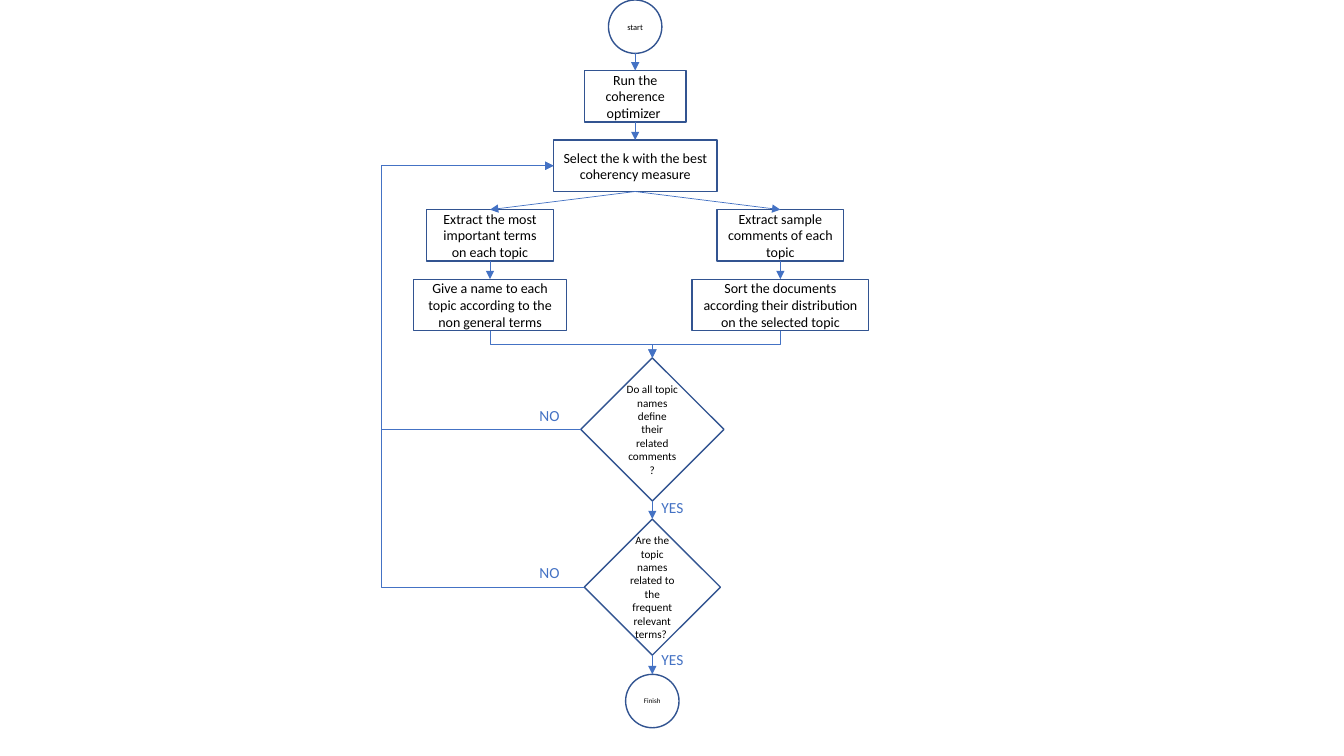
from lxml import etree
from pptx import Presentation
from pptx.dml.color import RGBColor
from pptx.enum.shapes import MSO_CONNECTOR as LINK, MSO_SHAPE as SHAPE
from pptx.enum.text import MSO_ANCHOR as ANCHOR, MSO_AUTO_SIZE as AUTO, PP_ALIGN as ALIGN
from pptx.oxml.ns import qn
from pptx.util import Inches, Pt

OUTLINE, ACCENT, BLACK = "325491", "4472C4", "000000"
TOP, LEFT, BOTTOM = 0, 1, 2

prs = Presentation()
prs.slide_width, prs.slide_height = Inches(13.33), Inches(7.5)
s = prs.slides.add_slide(prs.slide_layouts[6])


def rgb(code):
    return RGBColor.from_string(code)


def write(sp, text, size, color):
    tf = sp.text_frame
    tf.word_wrap = True
    p = tf.paragraphs[0]
    p.alignment = ALIGN.CENTER
    r = p.add_run()
    r.text = text
    for name, value in {"name": "Calibri", "size": Pt(size)}.items():
        setattr(r.font, name, value)
    r.font.color.rgb = rgb(color)


# Grid: process rows, and the centres of the columns
ROW_TOP, PITCH, BOX_H, DOT = 0.7, 0.69, 0.51, 0.53
rows = [ROW_TOP + PITCH * i for i in range(4)]
MAIN, TERMS, SAMPLES, CHECK = 6.3, 4.86, 7.74, 6.47
LANE = 3.78

# Steps: kind, centre x, top, width, height, text size, text
steps = {
    "start": (SHAPE.OVAL, MAIN, 0, DOT, DOT, 6, "start"),
    "run": (SHAPE.RECTANGLE, MAIN, rows[0], 1.01, BOX_H, 10, "Run the coherence optimizer "),
    "select": (SHAPE.RECTANGLE, MAIN, rows[1], 1.62, BOX_H, 10,
               "Select the k with the best coherency measure"),
    "terms": (SHAPE.RECTANGLE, TERMS, rows[2], 1.26, BOX_H, 10,
              "Extract the most important terms on each topic"),
    "samples": (SHAPE.RECTANGLE, SAMPLES, rows[2], 1.26, BOX_H, 10,
                "Extract sample comments of each topic"),
    "sort": (SHAPE.RECTANGLE, SAMPLES, rows[3], 1.75, BOX_H, 10,
             "Sort the documents according their distribution on the selected topic"),
    "name": (SHAPE.RECTANGLE, TERMS, rows[3], 1.52, BOX_H, 10,
             "Give a name to each topic according to the non general terms"),
    "comments": (SHAPE.DIAMOND, CHECK, 3.55, 1.42, 1.42, 8,
                 "Do all topic names define their related comments?"),
    "frequent": (SHAPE.DIAMOND, CHECK, 5.15, 1.35, 1.35, 8,
                 "Are the topic names related to the frequent relevant terms? "),
    "finish": (SHAPE.OVAL, CHECK, 6.69, DOT, DOT, 5, "Finish"),
}
nodes = {}
for key, (kind, x, y, w, h, size, text) in steps.items():
    sp = s.shapes.add_shape(kind, *map(Inches, (x - w / 2, y, w, h)))
    sp.shadow.inherit = False
    sp.fill.background()
    sp.line.color.rgb = rgb(OUTLINE)
    sp.line.width = Pt(1)
    sp.text_frame.vertical_anchor = ANCHOR.MIDDLE
    write(sp, text, size, BLACK)
    nodes[key] = sp

# Arrows: from, to, route
arrows = [
    ("start", "run", "straight"), ("run", "select", "straight"),
    ("select", "terms", "straight"), ("select", "samples", "straight"),
    ("terms", "name", "straight"), ("samples", "sort", "straight"),
    ("sort", "comments", "merge"), ("name", "comments", "merge"),
    ("comments", "frequent", "straight"), ("frequent", "finish", "straight"),
    ("comments", "select", "back"), ("frequent", "select", "back"),
]
for a, b, route in arrows:
    kind = LINK.STRAIGHT if route == "straight" else LINK.ELBOW
    c = s.shapes.add_connector(kind, Inches(MAIN), Inches(DOT), Inches(MAIN), Inches(ROW_TOP))
    if a != "start":  # the first arrow already runs from the start circle
        c.begin_connect(nodes[a], LEFT if route == "back" else BOTTOM)
    c.end_connect(nodes[b], LEFT if route == "back" else TOP)
    c.line.color.rgb = rgb(ACCENT)
    c.line.width = Pt(0.5)
    spPr = c._element.spPr
    etree.SubElement(spPr.find(qn("a:ln")), qn("a:tailEnd"), type="triangle")
    etree.SubElement(spPr, qn("a:effectLst"))

    if route == "merge":  # a quarter turn makes the elbow leave downwards
        rightward = c.begin_x < c.end_x
        x, y, w, h = c.left, c.top, c.width, c.height
        c.left, c.top = x + (w - h) // 2, y + (h - w) // 2
        c.width, c.height = h, w
        xfrm = spPr.find(qn("a:xfrm"))
        xfrm.set("rot", "16200000" if rightward else "5400000")
        xfrm.set("flipH", "1" if rightward else "0")
    elif route == "back":  # the bend lies on the return lane, left of both ends
        bend = (c.begin_x - Inches(LANE)) / (c.begin_x - c.end_x)
        av = spPr.find(qn("a:prstGeom")).find(qn("a:avLst"))
        etree.SubElement(av, qn("a:gd"), name="adj1", fmla=f"val {round(bend * 100000)}")

# Answers beside the decisions
for text, x, y in [("NO", 5.11, 3.98), ("NO", 5.11, 5.54),
                   ("YES", 6.33, 6.4), ("YES", 6.33, 4.89)]:
    sp = s.shapes.add_textbox(*map(Inches, (x, y, 0.68, 0.29)))
    write(sp, text, 11, ACCENT)
    sp.text_frame.auto_size = AUTO.SHAPE_TO_FIT_TEXT

prs.save("out.pptx")
